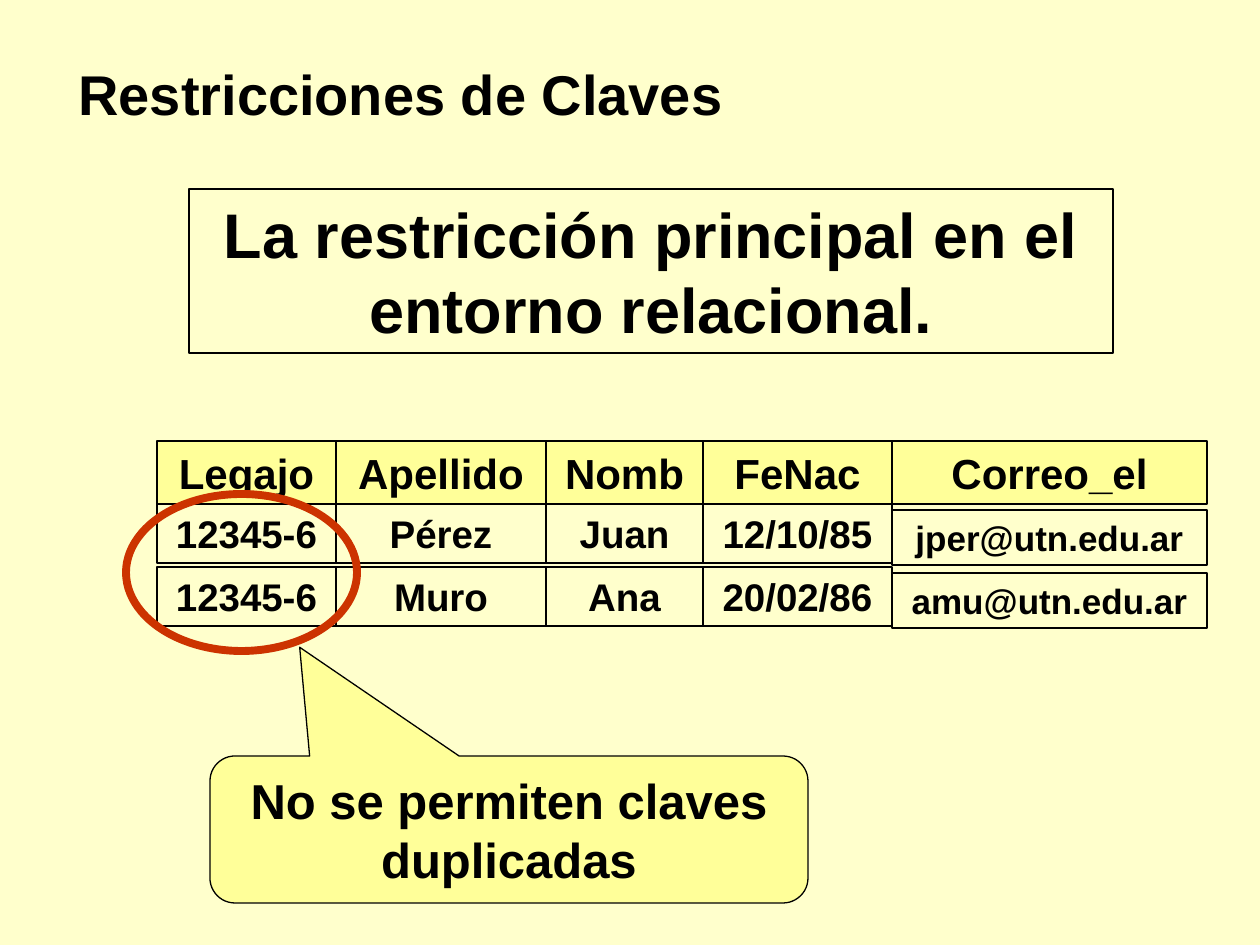
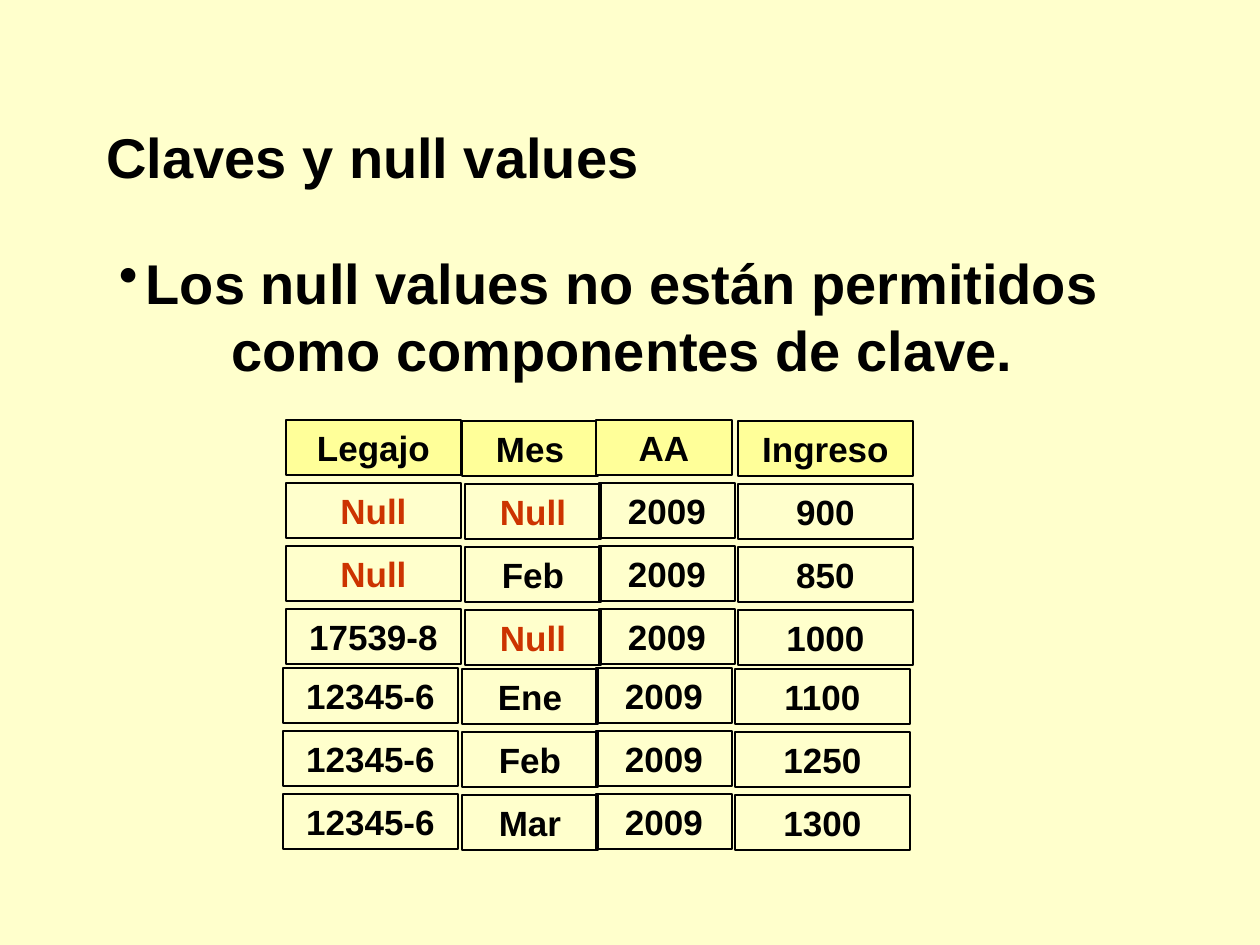
import pptx
import pptx.util
import pptx.dml.color
import pptx.enum.shapes
import pptx.enum.text
import pptx.oxml
import pptx.oxml.ns
import itertools

SCALE = 914400 / 126
FONT = "Arial"
INK, RED = "000000", "CC3300"
PAGE, GOLD = "FFFFCC", "FFFF99"
KIND = pptx.enum.shapes.MSO_SHAPE
ALIGN = pptx.enum.text.PP_ALIGN


def emu(px):
    return round(px * SCALE)


def tint(code):
    return pptx.dml.color.RGBColor.from_string(code)


def start(deck):
    """Add a blank slide with the shared background."""
    slide = deck.slides.add_slide(deck.slide_layouts[6])
    slide.background.fill.solid()
    slide.background.fill.fore_color.rgb = tint(PAGE)
    return slide


def write(shape, text, size, color=INK, align=ALIGN.CENTER):
    """Put bold text in a shape, and return its paragraph."""
    frame = shape.text_frame
    frame.word_wrap = True
    frame.vertical_anchor = pptx.enum.text.MSO_ANCHOR.MIDDLE
    para = frame.paragraphs[0]
    para.text = text
    para.alignment = align
    para.font.name = FONT
    para.font.size = pptx.util.Pt(size)
    para.font.bold = True
    para.font.color.rgb = tint(color)
    return para


def label(slide, box, text, size=32, align=ALIGN.LEFT):
    shape = slide.shapes.add_textbox(*map(emu, box))
    return write(shape, text, size, align=align)


def draw(slide, kind, box, fill=None, line=INK, width=0.75):
    shape = slide.shapes.add_shape(kind, *map(emu, box))
    shape.shadow.inherit = False
    if fill:
        shape.fill.solid()
        shape.fill.fore_color.rgb = tint(fill)
    else:
        shape.fill.background()
    shape.line.color.rgb = tint(line)
    shape.line.width = pptx.util.Pt(width)
    return shape


def cell(slide, box, text, size, fill=None):
    color = RED if text == "Null" else INK
    write(draw(slide, KIND.RECTANGLE, box, fill), text, size, color)


def bullet(para, indent):
    """Give a paragraph a hanging round bullet."""
    props = para._p.get_or_add_pPr()
    props.set("marL", str(emu(indent)))
    props.set("indent", str(-emu(indent)))
    mark = pptx.oxml.parse_xml(
        f'<a:buChar {pptx.oxml.ns.nsdecls("a")} char="•"/>')
    props.append(mark)


def people(slide, left, top):
    """Table of people; the mail cells sit lower in their rows."""
    heads = ["Legajo", "Apellido", "Nomb", "FeNac", "Correo_el"]
    rows = [
        ["12345-6", "Pérez", "Juan", "12/10/85", "jper@utn.edu.ar"],
        ["12345-6", "Muro", "Ana", "20/02/86", "amu@utn.edu.ar"],
    ]
    wide = [179, 210, 157, 189, 315]
    pitch = 63
    edges = [left, *itertools.accumulate(wide, initial=left)][1:]
    for x, w, head in zip(edges, wide, heads):
        cell(slide, (x, top, w, pitch), head, 24, GOLD)
    for num, row in enumerate(rows, 1):
        y = top + num * pitch
        for x, w, text in zip(edges, wide, row):
            mail = "@" in text
            box = (x, y + 6, w, 55) if mail else (x, y, w, 59)
            cell(slide, box, text, 20 if mail else 22)


def income(slide, left, top):
    """Table of income; its last three rows are set back a little."""
    # Columns from back to front: offset, drop, width, head shift, texts
    cols = [
        (179, 1, 136, 3, "Mes Null Feb Null Ene Feb Mar"),
        (452, 1, 175, 0, "Ingreso 900 850 1000 1100 1250 1300"),
        (0, 0, 175, 0, "Legajo Null Null 17539-8 12345-6 12345-6 12345-6"),
        (313, 0, 136, 3, "AA 2009 2009 2009 2009 2009 2009"),
    ]
    pitch, back, rise = 63, 3, 4
    for dx, drop, w, shift, texts in cols:
        for num, text in enumerate(texts.split()):
            low = num > 3
            x = left + dx - (back if low else 0 if num else shift)
            y = top + drop + num * pitch - (rise if low else 0)
            cell(slide, (x, y, w, 55), text, 20, None if num else GOLD)


def unique(deck):
    slide = start(deck)
    label(slide, (66, 53, 722, 81), "Restricciones de Claves")
    # Main statement
    cell(slide, (189, 189, 924, 164),
         "La restricción principal en el entorno relacional.", 36)
    people(slide, 157, 441)
    # Ring around the repeated keys, and the callout
    draw(slide, KIND.OVAL, (126, 494, 231, 157), line=RED, width=4.5)
    note = draw(slide, KIND.ROUNDED_RECTANGULAR_CALLOUT,
                (210, 756, 598, 147), GOLD)
    for num, value in enumerate([-0.35, -1.24, 0.17]):
        note.adjustments[num] = value
    write(note, "No se permiten claves duplicadas", 28)


def nulls(deck):
    slide = start(deck)
    label(slide, (94, 116, 598, 81), "Claves y null values")
    # Rule on null values
    rule = label(slide, (105, 242, 1008, 147),
                 "Los null values no están permitidos"
                 " como componentes de clave.", align=ALIGN.CENTER)
    bullet(rule, 27)
    income(slide, 286, 420)


def main():
    deck = pptx.Presentation()
    deck.slide_width, deck.slide_height = emu(1260), emu(945)
    unique(deck)
    nulls(deck)
    deck.save("out.pptx")


if __name__ == "__main__":
    main()
